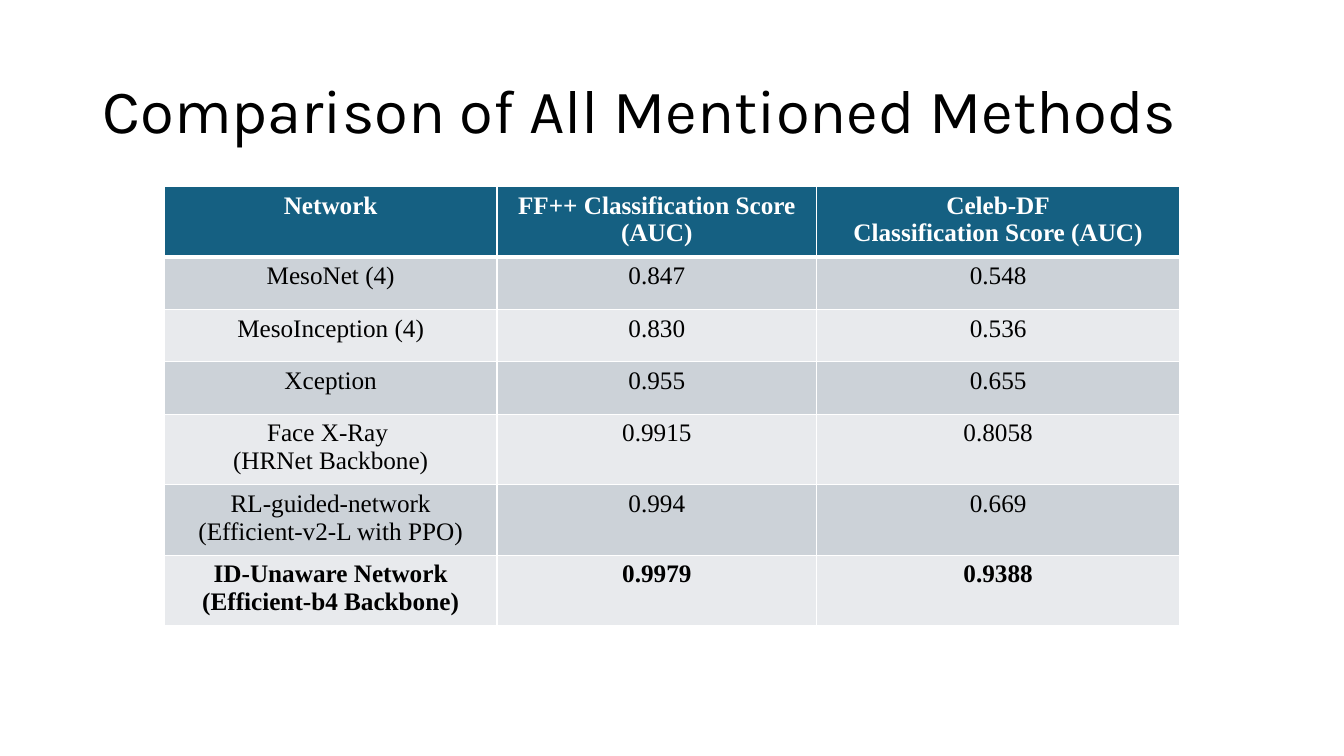
from lxml.etree import SubElement
from pptx import Presentation
from pptx.dml.color import RGBColor
from pptx.enum.text import MSO_ANCHOR, PP_ALIGN
from pptx.oxml.ns import qn
from pptx.util import Inches, Pt

COLORS = {
    "white": "FFFFFF",
    "black": "000000",
    "head": "156082",
    "dark": "CCD2D8",
    "light": "E8EAED",
}

ROWS = [
    ("Network", "FF++ Classification Score (AUC)", "Celeb-DF\nClassification Score (AUC)"),
    ("MesoNet (4)", "0.847", "0.548"),
    ("MesoInception (4)", "0.830", "0.536"),
    ("Xception", "0.955", "0.655"),
    ("Face X-Ray \n(HRNet Backbone)", "0.9915", "0.8058"),
    ("RL-guided-network\n(Efficient-v2-L with PPO)", "0.994", "0.669"),
    ("ID-Unaware Network\n(Efficient-b4 Backbone)", "0.9979", "0.9388"),
]
WIDTHS = (3.3, 3.17, 3.6)
HEIGHTS = [0.57] + [0.52] * (len(ROWS) - 1)


class Deck:
    title_font = "Karla"
    table_font = "Times New Roman"

    def __init__(self, show):
        self.slide = show.slides.add_slide(show.slide_layouts[6])

    def style(self, para, font, size, color, bold=False):
        for run in para.runs:
            run.font.name = font
            run.font.size = Pt(size)
            run.font.bold = bold
            run.font.color.rgb = RGBColor.from_string(COLORS[color])

    def title(self, text, left, top, width, height):
        box = self.slide.shapes.add_textbox(
            Inches(left), Inches(top), Inches(width), Inches(height))
        frame = box.text_frame
        frame.word_wrap = True
        frame.vertical_anchor = MSO_ANCHOR.MIDDLE
        frame.text = text
        para = frame.paragraphs[0]
        para.line_spacing = 0.9
        self.style(para, self.title_font, 44, "black")

    def border(self, cell, top, bottom):
        props = cell._tc.get_or_add_tcPr()
        for side, width in (("L", 1), ("R", 1), ("T", top), ("B", bottom)):
            line = SubElement(props, qn(f"a:ln{side}"), w=str(Pt(width)))
            fill = SubElement(line, qn("a:solidFill"))
            SubElement(fill, qn("a:srgbClr"), val=COLORS["white"])

    def cell(self, cell, text, fill, color, bold, top, bottom):
        self.border(cell, top, bottom)
        cell.fill.solid()
        cell.fill.fore_color.rgb = RGBColor.from_string(COLORS[fill])
        cell.text_frame.text = text
        for para in cell.text_frame.paragraphs:
            para.alignment = PP_ALIGN.CENTER
            self.style(para, self.table_font, 18, color, bold)

    def table(self, rows, left, top, widths, heights):
        frame = self.slide.shapes.add_table(
            len(rows), len(widths), Inches(left), Inches(top),
            Inches(sum(widths)), Inches(sum(heights)))
        table = frame.table
        for column, width in zip(table.columns, widths):
            column.width = Inches(width)
        last = len(rows) - 1
        for i, (row, height) in enumerate(zip(rows, heights)):
            table.rows[i].height = Inches(height)
            head = i == 0
            fill = "head" if head else "dark" if i % 2 else "light"
            color = "white" if head else "black"
            for j, text in enumerate(row):
                self.cell(table.cell(i, j), text, fill, color, i in (0, last),
                          3 if i == 1 else 1, 3 if head else 1)


def main():
    show = Presentation()
    show.slide_width = Inches(13.33)
    show.slide_height = Inches(7.5)
    deck = Deck(show)
    deck.title("Comparison of All Mentioned Methods", 0.92, 0.4, 11.5, 1.45)
    deck.table(ROWS, 1.63, 1.85, WIDTHS, HEIGHTS)
    show.save("out.pptx")


if __name__ == "__main__":
    main()
